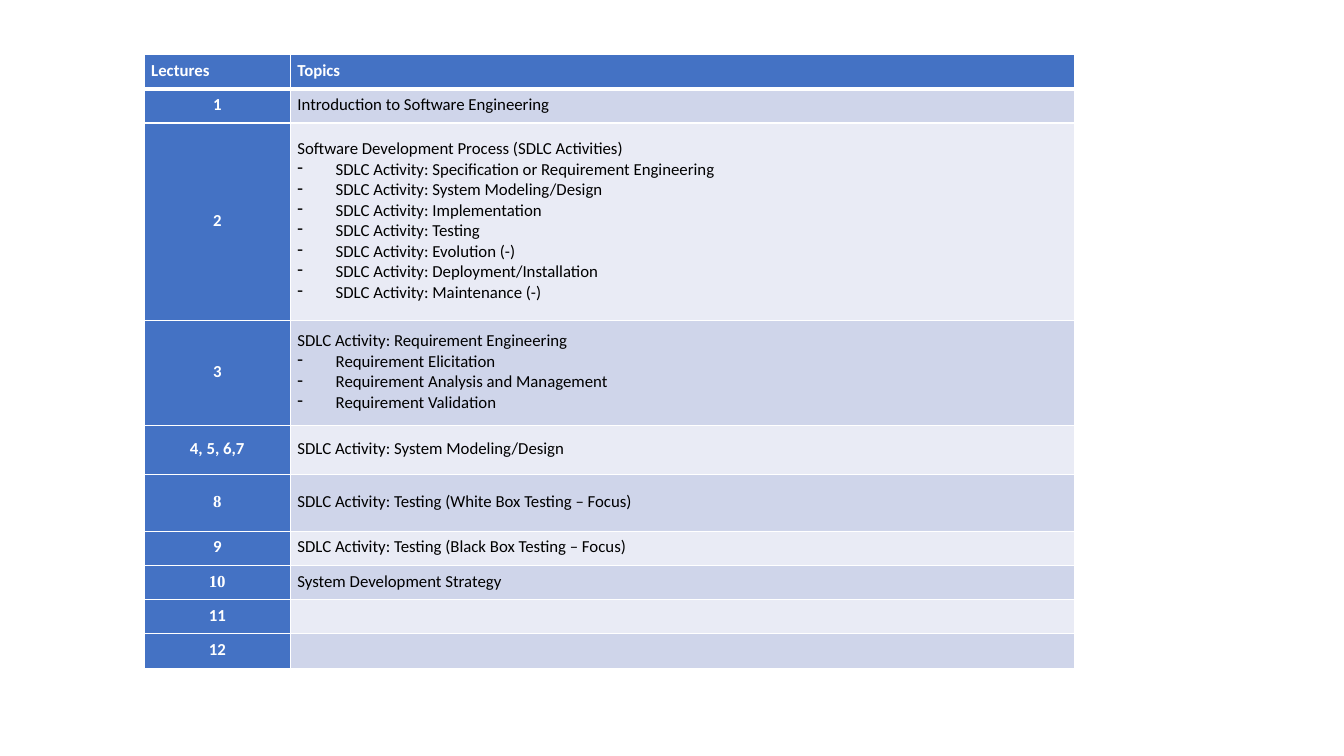
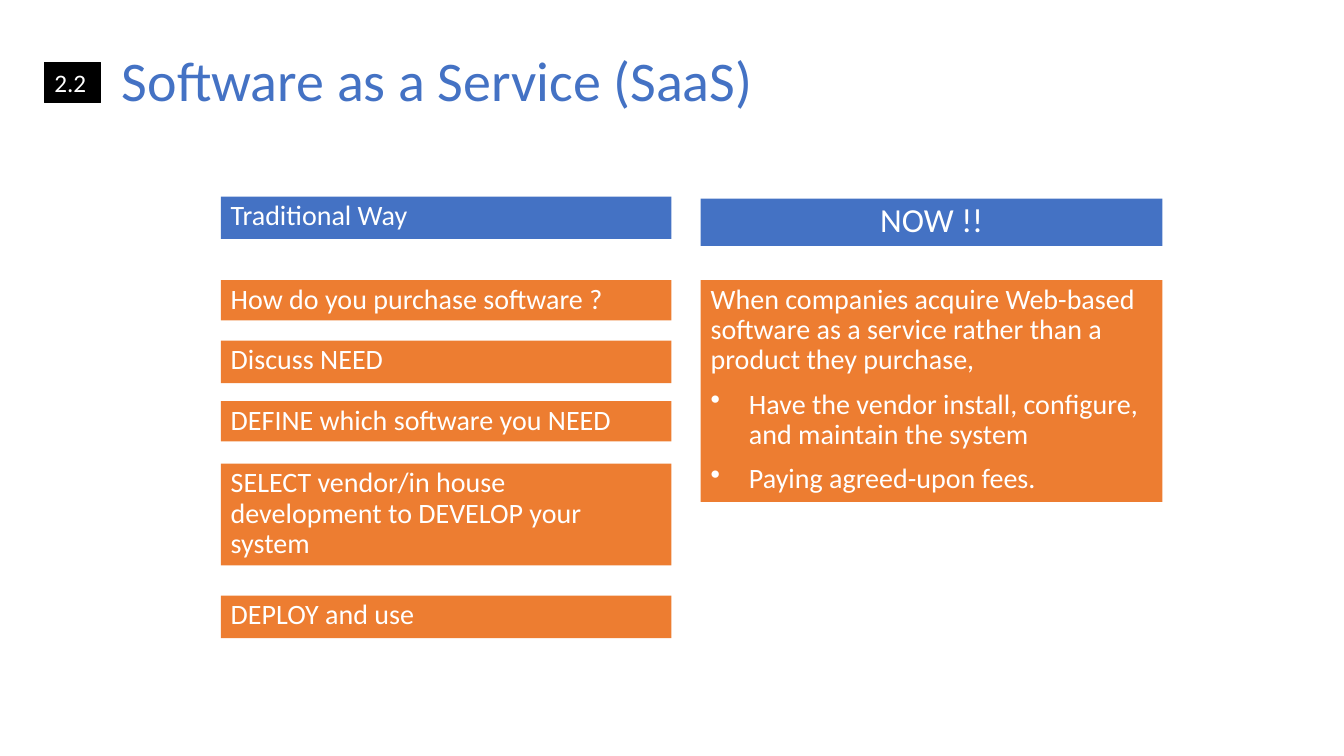
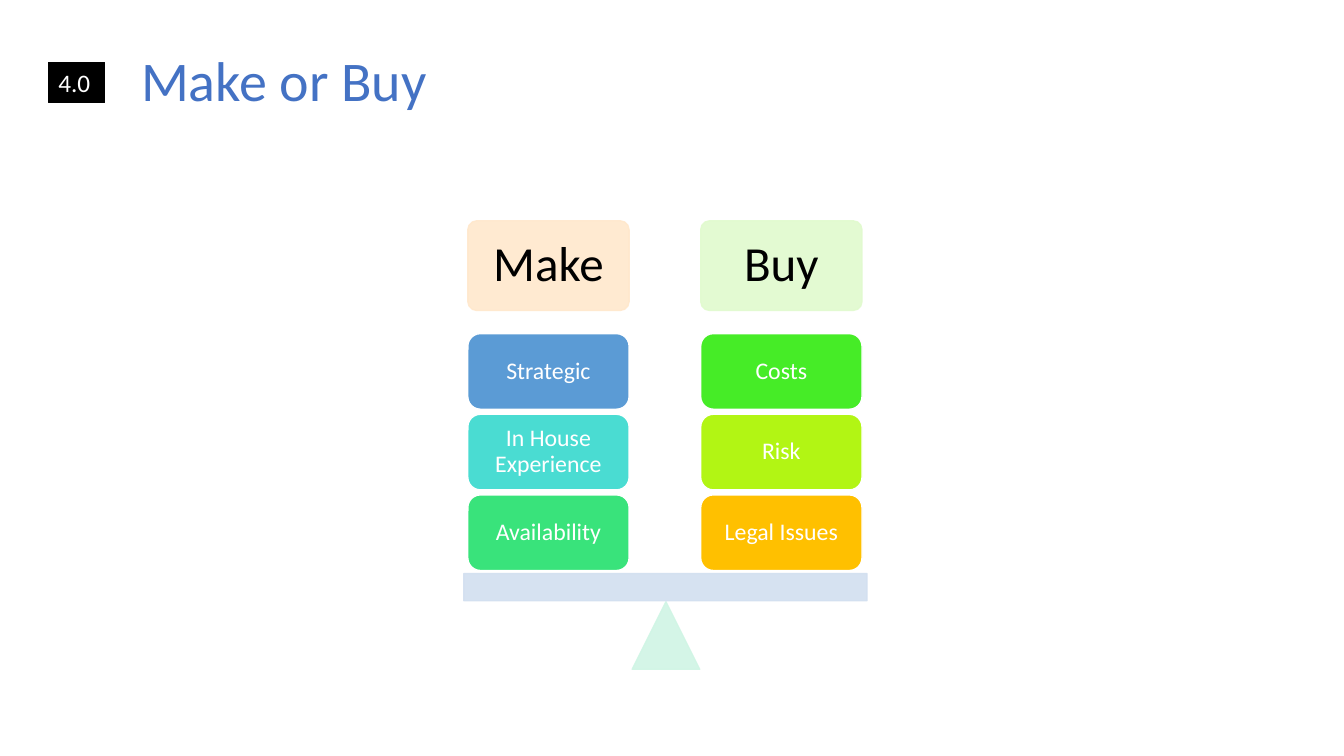
from lxml.etree import SubElement
from pptx import Presentation
from pptx.dml.color import RGBColor
from pptx.enum.shapes import MSO_SHAPE
from pptx.enum.text import MSO_ANCHOR, MSO_AUTO_SIZE, PP_ALIGN
from pptx.oxml.ns import qn
from pptx.util import Inches, Pt

BLUE, ORANGE, BLACK, WHITE = "4472C4", "ED7D31", "000000", "FFFFFF"
BANDS = "E9EBF5", "CFD5EA"
LEFT, MID = PP_ALIGN.LEFT, PP_ALIGN.CENTER


def tint(color, code):
    color.rgb = RGBColor.from_string(code)


def paint(fill, code):
    fill.solid()
    tint(fill.fore_color, code)


def adorn(item, form):
    for name, value in form.items():
        setattr(item, name, value)


def inset(side, top, base):
    return {
        "margin_left": Inches(side),
        "margin_right": Inches(side),
        "margin_top": Inches(top),
        "margin_bottom": Inches(base),
    }


class Deck:
    """Hold the shared style and the current slide."""

    face = "Calibri"

    def __init__(self):
        self.show = Presentation()
        adorn(self.show, {"slide_width": Inches(13.33), "slide_height": Inches(7.5)})
        self.slide = None

    def blank(self):
        self.slide = self.show.slides.add_slide(self.show.slide_layouts[6])

    def titled(self, text, left, code, tag):
        self.slide = self.show.slides.add_slide(self.show.slide_layouts[5])
        title = self.slide.shapes.title
        adorn(title, {
            "left": Inches(left), "top": Inches(0.4),
            "width": Inches(12.9 - left), "height": Inches(0.85),
        })
        frame = title.text_frame
        adorn(frame, {"vertical_anchor": MSO_ANCHOR.MIDDLE, "auto_size": MSO_AUTO_SIZE.NONE})
        self.prose(frame, [text], 40, BLUE, space=0.9)
        self.label((tag, 0.62, 0.56, 0.4), [code], BLACK, 18, space=1.0, edge=BLACK)

    def prose(self, frame, lines, size, code, align=LEFT, space=1.0, gap=0, mark="•", **font):
        for rank, line in enumerate(lines):
            par = frame.add_paragraph() if rank else frame.paragraphs[0]
            adorn(par, {"alignment": align, "line_spacing": space})
            if rank:
                par.space_before = Pt(gap)
                props = par._p.get_or_add_pPr()
                props.set("marL", str(Inches(0.38)))
                props.set("indent", str(-Inches(0.38)))
                SubElement(props, qn("a:buChar"), char=mark)
            run = par.add_run()
            run.text = line
            adorn(run.font, {"name": self.face, "size": Pt(size), **font})
            tint(run.font.color, code)

    def shape(self, kind, box, fill, edge=None, alpha=None):
        item = self.slide.shapes.add_shape(kind, *map(Inches, box))
        item.shadow.inherit = False
        paint(item.fill, fill)
        if edge:
            paint(item.line.fill, edge)
            item.line.width = Pt(1)
        else:
            item.line.fill.background()
        if alpha:
            for color in item._element.spPr.iter(qn("a:srgbClr")):
                SubElement(color, qn("a:alpha"), val=str(alpha * 1000))
        return item

    def label(self, box, lines, fill, size=20, align=LEFT, space=0.9, edge=None):
        frame = self.shape(MSO_SHAPE.RECTANGLE, box, fill, edge).text_frame
        adorn(frame, {
            "word_wrap": True, "vertical_anchor": MSO_ANCHOR.TOP,
            "auto_size": MSO_AUTO_SIZE.SHAPE_TO_FIT_TEXT,
        })
        self.prose(frame, lines, size, WHITE, align, space, gap=10)

    def block(self, box, text, fill, size, code, edge, pad, alpha=None, curve=None):
        item = self.shape(MSO_SHAPE.ROUNDED_RECTANGLE, box, fill, edge, alpha)
        if curve:
            item.adjustments[0] = curve
        frame = item.text_frame
        adorn(frame, {
            "word_wrap": True, "vertical_anchor": MSO_ANCHOR.MIDDLE, **inset(pad, pad, pad),
        })
        self.prose(frame, [text], size, code, MID, 0.9)

    def cell(self, cell, lines, fill, widths, **look):
        adorn(cell, {"vertical_anchor": MSO_ANCHOR.MIDDLE, **inset(0.07, 0.04, 0.06)})
        props = cell._tc.get_or_add_tcPr()
        for side, width in zip("LRTB", widths):
            line = SubElement(props, qn(f"a:ln{side}"), w=str(Pt(width)))
            solid = SubElement(line, qn("a:solidFill"))
            SubElement(solid, qn("a:srgbClr"), val=WHITE)
        paint(cell.fill, fill)
        if lines:
            self.prose(cell.text_frame, lines, 12, mark="-", **look)
        else:
            SubElement(cell.text_frame.paragraphs[0]._p, qn("a:endParaRPr"), sz="1200")

    def table(self, spot, cols, tall, rows, serif):
        size = sum(cols), sum(tall)
        grid = self.slide.shapes.add_table(
            len(rows), len(cols), *map(Inches, spot + size)).table
        for col, width in zip(grid.columns, cols):
            col.width = Inches(width)
        for rank, (key, *lines) in enumerate(rows):
            grid.rows[rank].height = Inches(tall[rank])
            head = rank == 0
            widths = 1, 1, 3 if rank == 1 else 1, 3 if head else 1
            face = "Times New Roman" if key in serif else self.face
            self.cell(grid.cell(rank, 0), [key], BLUE, widths, code=WHITE, bold=True,
                      align=LEFT if head else MID, name=face)
            self.cell(grid.cell(rank, 1), lines, BLUE if head else BANDS[rank % 2], widths,
                      code=WHITE if head else BLACK, bold=head)


def plan(deck):
    deck.blank()
    step = "SDLC Activity: "
    parts = (
        "Specification or Requirement Engineering", "System Modeling/Design",
        "Implementation", "Testing", "Evolution (-)", "Deployment/Installation",
        "Maintenance (-)",
    )
    rows = [
        ["Lectures", "Topics"],
        ["1", "Introduction to Software Engineering"],
        ["2", "Software Development Process (SDLC Activities)", *(step + part for part in parts)],
        ["3", step + "Requirement Engineering", "Requirement Elicitation",
         "Requirement Analysis and Management", "Requirement Validation"],
        ["4, 5, 6,7", step + "System Modeling/Design"],
        ["8", step + "Testing (White Box Testing – Focus)"],
        ["9", step + "Testing (Black Box Testing – Focus)"],
        ["10", "System Development Strategy"],
        ["11"],
        ["12"],
    ]
    tall = [0.34, 0.34, 1.96, 1.04, 0.49, 0.56] + [0.34] * 4
    deck.table((1.43, 0.54), (1.45, 7.78), tall, rows, ("8", "10"))


def saas(deck):
    deck.titled("Software as a Service (SaaS)", 1.11, "2.2", 0.44)
    steps = (
        (1.95, 0.42, "Traditional Way", BLUE),
        (2.78, 0.4, "How do you purchase software ?", ORANGE),
        (3.38, 0.42, "Discuss NEED", ORANGE),
        (3.98, 0.4, "DEFINE which software you NEED", ORANGE),
        (4.6, 1.01, "SELECT vendor/in house development to DEVELOP your system", ORANGE),
        (5.91, 0.42, "DEPLOY and use", ORANGE),
    )
    for top, height, text, fill in steps:
        deck.label((2.19, top, 4.47, height), [text], fill)
    deck.label((6.95, 1.97, 4.58, 0.47), ["NOW !!"], BLUE, 24, MID)
    deck.label((6.95, 2.78, 4.58, 2.2), [
        "When companies acquire Web-based software as a service rather than a product they purchase,",
        "Have the vendor install, configure, and maintain the system",
        "Paying agreed-upon fees.",
    ], ORANGE)


def choice(deck):
    deck.titled("Make or Buy", 1.3, "4.0", 0.48)
    sides = (
        (4.64, "Make", "FFE8CC", (
            ("Strategic", "5B9BD5"), ("In House Experience", "4ADCD2"),
            ("Availability", "39E37B"))),
        (6.95, "Buy", "E1FACE", (
            ("Costs", "46EC27"), ("Risk", "B2F514"), ("Legal Issues", "FFC000"))),
    )
    base = (
        (MSO_SHAPE.ISOSCELES_TRIANGLE, (6.27, 5.97, 0.67, 0.67), "D0F5E5"),
        (MSO_SHAPE.RECTANGLE, (4.6, 5.69, 4, 0.27), "D2DFF0"),
    )
    for kind, box, fill in base:
        deck.shape(kind, box, fill, fill, 90)
    for left, name, fill, items in sides:
        deck.block((left, 2.19, 1.6, 0.89), name, fill, 35, BLACK, fill, 0.15, 90, 0.1)
        for rank, (text, tone) in enumerate(items):
            box = left, 3.31 + 0.8 * rank, 1.6, 0.75
            deck.block(box, text, tone, 17, WHITE, WHITE, 0.07)


def main():
    deck = Deck()
    for build in (plan, saas, choice):
        build(deck)
    deck.show.save("out.pptx")


if __name__ == "__main__":
    main()
